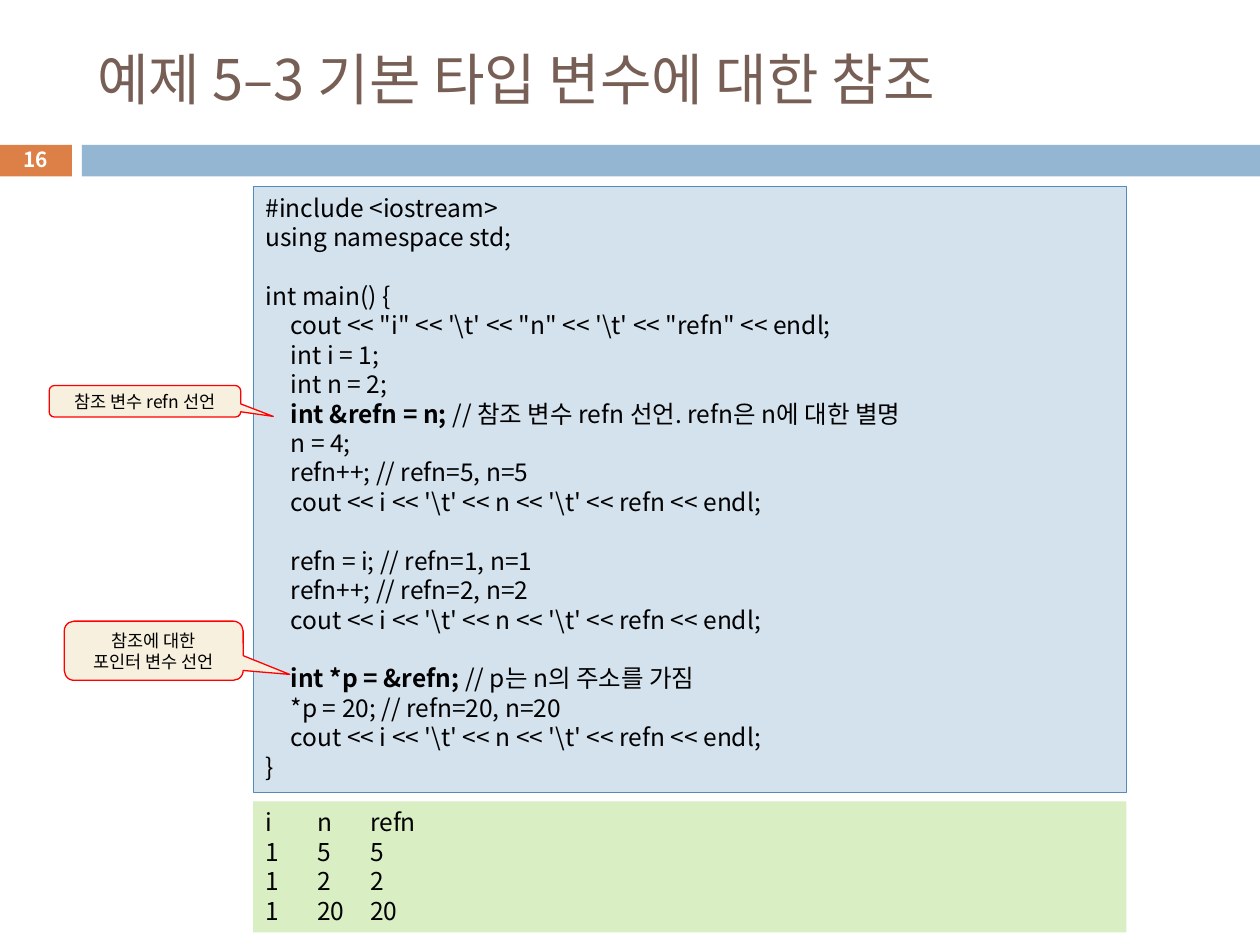
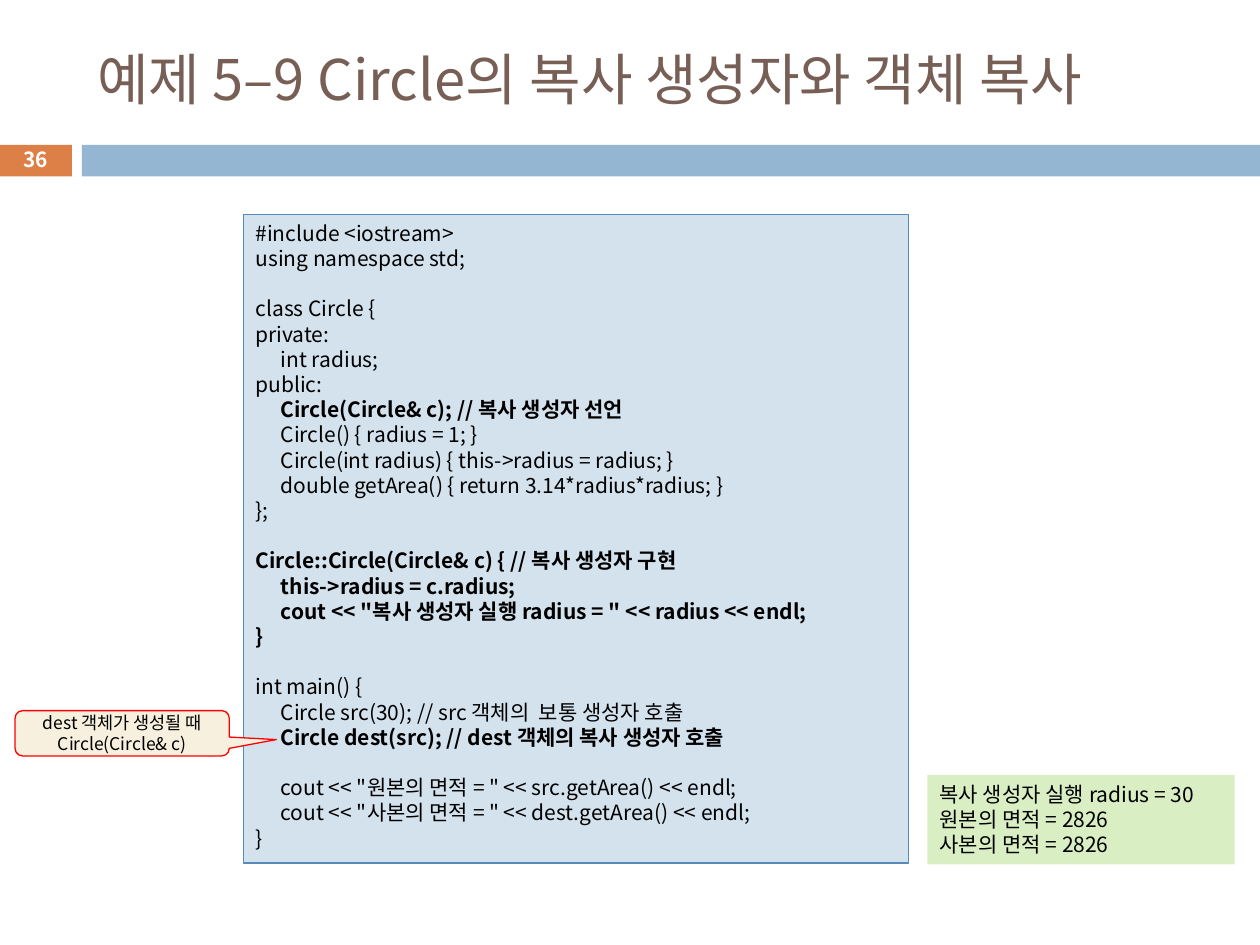
import pptx
import pptx.util
import pptx.dml.color
import pptx.enum.shapes
import pptx.enum.text
import pptx.oxml.ns
from lxml import etree

Inches = pptx.util.Inches
Pt = pptx.util.Pt
SHAPE = pptx.enum.shapes.MSO_SHAPE
ALIGN = pptx.enum.text.PP_ALIGN
ANCHOR = pptx.enum.text.MSO_ANCHOR
qn = pptx.oxml.ns.qn

FONT = "Noto Sans CJK KR"
ORANGE, BLUE, BROWN = "DD8047", "94B6D2", "775F55"
CODE_FILL, CODE_LINE, OUTPUT_FILL = "D4E2ED", "558BB8", "DAEEC4"
CALLOUT_FILL, CALLOUT_LINE = "F7F0DE", "FF0000"
BLACK, WHITE = "000000", "FFFFFF"
LINE_HEIGHT = 1.2
CODE_INDENT = 0.2
OUTPUT_STOPS = (0.41, 0.83)

# In code, a leading tab indents, an empty line adds space, ** switches bold
REFERENCE_CODE = r"""#include <iostream>
using namespace std;

int main() {
	cout << "i" << '\t' << "n" << '\t' << "refn" << endl;
	int i = 1;
	int n = 2;
	**int &refn = n; **// 참조 변수 refn 선언. refn은 n에 대한 별명
	n = 4;
	refn++; // refn=5, n=5
	cout << i << '\t' << n << '\t' << refn << endl;

	refn = i; // refn=1, n=1
	refn++; // refn=2, n=2
	cout << i << '\t' << n << '\t' << refn << endl;

	**int *p = &refn; **// p는 n의 주소를 가짐
	*p = 20; // refn=20, n=20
	cout << i << '\t' << n << '\t' << refn << endl;
}"""

COPY_CODE = """#include <iostream>
using namespace std;

class Circle {
private:
	int radius;
public:
	**Circle(Circle& c); // 복사 생성자 선언**
	Circle() { radius = 1; }
	Circle(int radius) { this->radius = radius; }
	double getArea() { return 3.14*radius*radius; }
};

**Circle::Circle(Circle& c) { // 복사 생성자 구현**
	**this->radius = c.radius;**
	**cout << "복사 생성자 실행 radius = " << radius << endl;**
**}**

int main() {
	Circle src(30); // src 객체의  보통 생성자 호출
	**Circle dest(src); // dest 객체의 복사 생성자 호출**

	cout << "원본의 면적 = " << src.getArea() << endl;
	cout << "사본의 면적 = " << dest.getArea() << endl;
}"""


def rgb(value):
    return pptx.dml.color.RGBColor.from_string(value)


def add_run(p, text, size, color, bold):
    r = p.add_run()
    r.text = text
    r.font.size = Pt(size)
    r.font.name = FONT
    r.font.bold = bold
    r.font.color.rgb = rgb(color)
    ea = etree.SubElement(r.font._element, qn("a:ea"))
    ea.set("typeface", FONT)


def set_tab_stops(p, stops):
    tabs = etree.SubElement(p._p.get_or_add_pPr(), qn("a:tabLst"))
    for stop in stops:
        etree.SubElement(tabs, qn("a:tab"), pos=str(Inches(stop)), algn="l")


def write(sp, text, size=14, color=BLACK, bold=False, align=ALIGN.LEFT,
          anchor=ANCHOR.TOP, stops=()):
    """Fill a shape with one paragraph for each non-empty line of text."""
    tf = sp.text_frame
    tf.word_wrap = True
    tf.auto_size = pptx.enum.text.MSO_AUTO_SIZE.NONE
    tf.vertical_anchor = anchor
    p, gap = tf.paragraphs[0], 0
    for i, line in enumerate(text.split("\n")):
        if not line:
            gap += size * LINE_HEIGHT
            continue
        if i:
            p = tf.add_paragraph()
        p.alignment = align
        p.line_spacing = Pt(size * LINE_HEIGHT)
        p.space_before = Pt(gap)
        gap = 0
        if stops:
            set_tab_stops(p, stops)
        if line.startswith("\t"):
            p._p.get_or_add_pPr().set("marL", str(Inches(CODE_INDENT)))
            line = line[1:]
        for k, part in enumerate(line.split("**")):
            if part:
                add_run(p, part, size, color, bold or k % 2 == 1)


def add_box(slide, at, fill, line=None, kind=SHAPE.RECTANGLE):
    sp = slide.shapes.add_shape(kind, *map(Inches, at))
    sp.shadow.inherit = False
    sp.fill.solid()
    sp.fill.fore_color.rgb = rgb(fill)
    if line:
        sp.line.color.rgb = rgb(line)
        sp.line.width = Pt(0.75)
    else:
        sp.line.fill.background()
    return sp


def add_code(slide, at, code, size):
    write(add_box(slide, at, CODE_FILL, CODE_LINE), code, size=size)


def add_output(slide, at, text, size, stops=()):
    write(add_box(slide, at, OUTPUT_FILL), text, size=size, stops=stops)


def add_callout(slide, at, text, tip):
    """tip is the pointer's offset from the centre, in widths and heights."""
    sp = add_box(slide, at, CALLOUT_FILL, CALLOUT_LINE,
                 SHAPE.ROUNDED_RECTANGULAR_CALLOUT)
    sp.adjustments[0], sp.adjustments[1] = tip
    write(sp, text, size=10, align=ALIGN.CENTER, anchor=ANCHOR.MIDDLE)


def add_slide(prs, title, number):
    """Start a slide with its title, band and page number."""
    slide = prs.slides.add_slide(prs.slide_layouts[5])
    add_box(slide, (-0.01, 1.15, 0.58, 0.25), ORANGE)
    add_box(slide, (0.65, 1.15, 9.35, 0.25), BLUE)
    sp = slide.shapes.title
    sp.left, sp.top, sp.width, sp.height = map(Inches, (0.67, 0.25, 8.92, 0.74))
    write(sp, title, size=32, color=BROWN, anchor=ANCHOR.MIDDLE)
    sp = slide.shapes.add_textbox(*map(Inches, (-0.01, 1.13, 0.58, 0.27)))
    write(sp, str(number), size=11.9, color=WHITE, bold=True,
          align=ALIGN.CENTER, anchor=ANCHOR.MIDDLE)
    return slide


def main():
    prs = pptx.Presentation()
    prs.slide_width, prs.slide_height = Inches(10), Inches(7.5)

    # References to basic types
    slide = add_slide(prs, "예제 5–3 기본 타입 변수에 대한 참조", 16)
    add_code(slide, (2.01, 1.48, 6.93, 4.81), REFERENCE_CODE, 14)
    add_output(slide, (2.01, 6.36, 6.93, 1.04),
               "i\tn\trefn\n1\t5\t5\n1\t2\t2\n1\t20\t20", 14, OUTPUT_STOPS)
    add_callout(slide, (0.39, 3.06, 1.52, 0.25), "참조 변수 refn 선언", (0.67, 0.48))
    add_callout(slide, (0.51, 4.93, 1.42, 0.47),
                "참조에 대한\n포인터 변수 선언", (0.76, 0.4))

    # Copy constructor
    slide = add_slide(prs, "예제 5–9 Circle의 복사 생성자와 객체 복사", 36)
    add_code(slide, (1.93, 1.7, 5.28, 5.15), COPY_CODE, 12)
    add_output(slide, (7.36, 6.15, 2.44, 0.71),
               "복사 생성자 실행 radius = 30\n원본의 면적 = 2826\n사본의 면적 = 2826", 12)
    add_callout(slide, (0.12, 5.64, 1.7, 0.36),
                "dest 객체가 생성될 때 Circle(Circle& c)", (0.72, 0.14))

    prs.save("out.pptx")


if __name__ == "__main__":
    main()
